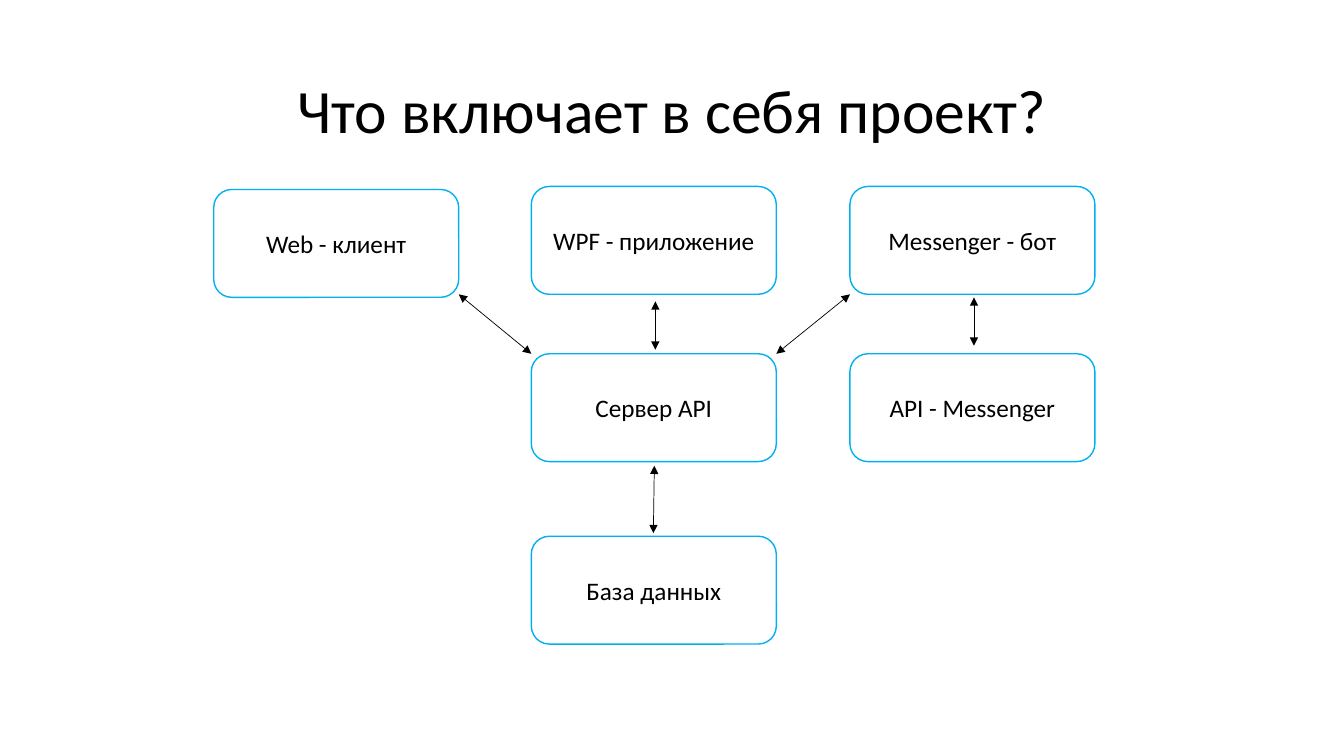
from lxml import etree
from pptx import Presentation
from pptx.dml.color import RGBColor
from pptx.enum import shapes, text
from pptx.oxml import ns
from pptx.util import Inches, Pt

BLACK = RGBColor(0x00, 0x00, 0x00)
WHITE = RGBColor(0xFF, 0xFF, 0xFF)
BLUE = RGBColor(0x00, 0xB0, 0xF0)

# Diagram grid, relative to the top left corner of the diagram
NODE_WIDTH, NODE_HEIGHT = 2.43, 1.07
COLUMNS = (0, 3.15, 6.31)
ROWS = (0, 1.66, 3.47)

# Label, column, row, shift down
NODES = (
    ("Web - клиент", 0, 0, 0.03),
    ("WPF - приложение", 1, 0, 0),
    ("Messenger - бот", 2, 0, 0),
    ("Сервер API", 1, 1, 0),
    ("База данных", 1, 2, 0),
    ("API - Messenger", 2, 1, 0),
)

# Start and end of each arrow, relative to the diagram
ARROWS = (
    ((NODE_WIDTH, NODE_HEIGHT), (COLUMNS[1], ROWS[1])),
    ((4.38, 1.14), (4.38, 1.62)),
    ((COLUMNS[2], NODE_HEIGHT), (COLUMNS[1] + NODE_WIDTH, ROWS[1])),
    ((4.37, 2.77), (4.36, 3.44)),
    ((7.54, 1.10), (7.54, 1.58)),
)


def write_text(shape, content, size=18, color=BLACK, line_spacing=1.0):
    frame = shape.text_frame
    frame.word_wrap = True
    frame.vertical_anchor = text.MSO_ANCHOR.MIDDLE
    paragraph = frame.paragraphs[0]
    paragraph.text = content
    paragraph.alignment = text.PP_ALIGN.CENTER
    paragraph.line_spacing = line_spacing
    paragraph.font.name = "Calibri"
    paragraph.font.size = Pt(size)
    paragraph.font.color.rgb = color


def add_node(slide, label, left, top):
    node = slide.shapes.add_shape(
        shapes.MSO_SHAPE.ROUNDED_RECTANGLE,
        Inches(left), Inches(top), Inches(NODE_WIDTH), Inches(NODE_HEIGHT))
    node.shadow.inherit = False
    node.fill.solid()
    node.fill.fore_color.rgb = WHITE
    node.line.color.rgb = BLUE
    node.line.width = Pt(1)
    write_text(node, label)


def add_double_arrow(slide, start, end):
    arrow = slide.shapes.add_connector(
        shapes.MSO_CONNECTOR.STRAIGHT, *(Inches(value) for value in start + end))
    arrow.line.color.rgb = BLACK
    arrow.line.width = Pt(0.5)
    line = arrow.line._get_or_add_ln()
    for tag in ("a:headEnd", "a:tailEnd"):
        etree.SubElement(line, ns.qn(tag), type="triangle")
    etree.SubElement(arrow._element.spPr, ns.qn("a:effectLst"))


def add_title(slide, left, top, width, height):
    title = slide.shapes.add_textbox(
        Inches(left), Inches(top), Inches(width), Inches(height))
    write_text(title, "Что включает в себя проект?", size=44, line_spacing=0.9)


def add_diagram(slide, left, top):
    # Project parts
    for label, column, row, shift in NODES:
        add_node(slide, label, left + COLUMNS[column], top + ROWS[row] + shift)
    # Links between the parts
    for (start_x, start_y), (end_x, end_y) in ARROWS:
        add_double_arrow(slide, (left + start_x, top + start_y),
                         (left + end_x, top + end_y))


def main():
    presentation = Presentation()
    presentation.slide_width = Inches(13.33)
    presentation.slide_height = Inches(7.5)
    slide = presentation.slides.add_slide(presentation.slide_layouts[6])
    add_title(slide, 0.92, 0.4, 11.5, 1.45)
    add_diagram(slide, 2.12, 1.85)
    presentation.save("out.pptx")


if __name__ == "__main__":
    main()
